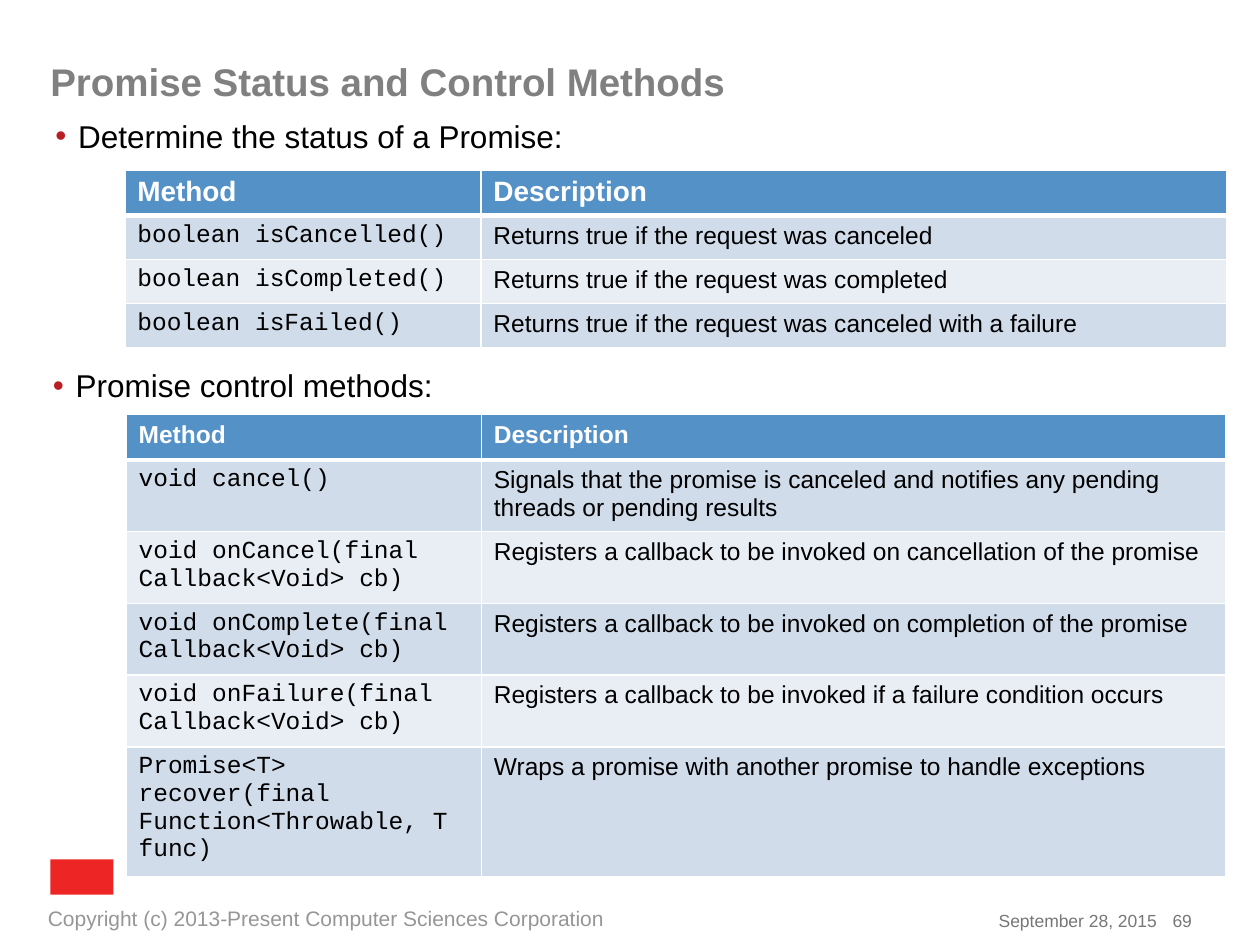
"""Build the slide on promise status and control methods."""
from dataclasses import dataclass

from lxml import etree
from pptx import Presentation
from pptx import util as u
from pptx.dml.color import RGBColor
from pptx.enum import shapes, text
from pptx.oxml import ns

TITLE = "Promise Status and Control Methods"
HEADER = ("Method", "Description")
SECTIONS = [
    dict(
        bullet="Determine the status of a Promise:",
        bullet_at=(0.44, 0.96), table_at=(0.99, 1.35), width=8.75,
        header_size=16, heights=[0.36] + [0.35] * 3,
        rows=[
            ("boolean isCancelled()", "Returns true if the request was canceled"),
            ("boolean isCompleted()", "Returns true if the request was completed"),
            ("boolean isFailed()", "Returns true if the request was canceled with a failure"),
        ],
    ),
    dict(
        bullet="Promise control methods:",
        bullet_at=(0.42, 2.94), table_at=(1, 3.29), width=8.73,
        header_size=14, heights=[0.36] + [0.57] * 4 + [1.03],
        rows=[
            ("void cancel()",
             "Signals that the promise is canceled and notifies any pending threads or pending results"),
            ("void onCancel(final Callback<Void> cb)",
             "Registers a callback to be invoked on cancellation of the promise"),
            ("void onComplete(final Callback<Void> cb)",
             "Registers a callback to be invoked on completion of the promise"),
            ("void onFailure(final Callback<Void> cb)",
             "Registers a callback to be invoked if a failure condition occurs"),
            ("Promise<T> recover(final Function<Throwable, T func)",
             "Wraps a promise with another promise to handle exceptions"),
        ],
    ),
]
METHOD_SHARE = 0.323


@dataclass(frozen=True)
class Theme:
    sans: str = "Arial"
    mono: str = "Courier New"
    title: str = "808080"
    ink: str = "000000"
    white: str = "FFFFFF"
    bullet: str = "B92025"
    header: str = "5491C7"
    bands: tuple = ("D1DCEB", "E9EEF5")
    badge: str = "EE2525"
    copyright: str = "969696"
    footer: str = "777777"
    title_size: int = 22
    bullet_size: int = 18
    cell_size: int = 14
    copyright_size: int = 12
    footer_size: int = 10


T = Theme()
FOOTERS = [
    ("Copyright (c) 2013-Present Computer Sciences Corporation", (0.38, 7.19, 4.71, 0.2),
     T.copyright_size, T.copyright, text.PP_ALIGN.LEFT, text.MSO_ANCHOR.MIDDLE),
    ("September 28, 2015", (7.18, 7.22, 2, 0.17),
     T.footer_size, T.footer, text.PP_ALIGN.RIGHT, text.MSO_ANCHOR.BOTTOM),
    ("69", (9.21, 7.22, 0.25, 0.17),
     T.footer_size, T.footer, text.PP_ALIGN.RIGHT, text.MSO_ANCHOR.BOTTOM),
]


def inches(*values):
    return [u.Inches(v) for v in values]


def add_run(p, words, size, color, font=T.sans, bold=False):
    r = p.add_run()
    r.text = words
    r.font.size, r.font.name, r.font.bold = u.Pt(size), font, bold
    r.font.color.rgb = RGBColor.from_string(color)


def frame(sp, anchor=text.MSO_ANCHOR.TOP):
    tf = sp.text_frame
    tf.word_wrap, tf.vertical_anchor = True, anchor
    tf.auto_size = text.MSO_AUTO_SIZE.NONE
    tf.margin_left = tf.margin_top = tf.margin_right = tf.margin_bottom = 0
    return tf.paragraphs[0]


def add_title(s):
    sp = s.shapes.title
    sp.left, sp.top, sp.width, sp.height = inches(0.4, 0.5, 9.2, 0.86)
    p = frame(sp)
    p.alignment, p.line_spacing = text.PP_ALIGN.LEFT, 0.9
    p.space_before = u.Pt(0)
    add_run(p, TITLE, T.title_size, T.title, bold=True)


def add_bullet(s, words, at):
    p = frame(s.shapes.add_textbox(*inches(*at, 7.18, 0.28)))
    p.line_spacing = 0.9
    indent = u.Inches(0.18)
    pPr = p._p.get_or_add_pPr()
    pPr.set("marL", str(indent))
    pPr.set("indent", str(-indent))
    color = etree.SubElement(pPr, ns.qn("a:buClr"))
    etree.SubElement(color, ns.qn("a:srgbClr"), val=T.bullet)
    etree.SubElement(pPr, ns.qn("a:buFont"), typeface=T.sans)
    etree.SubElement(pPr, ns.qn("a:buChar"), char="•")
    add_run(p, words, T.bullet_size, T.ink)


def style_cell(cell, fill, top=1, bottom=1):
    tcPr = cell._tc.get_or_add_tcPr()
    for side, width in (("L", 1), ("R", 1), ("T", top), ("B", bottom)):
        ln = etree.SubElement(tcPr, ns.qn(f"a:ln{side}"), w=str(u.Pt(width)))
        solid = etree.SubElement(ln, ns.qn("a:solidFill"))
        etree.SubElement(solid, ns.qn("a:srgbClr"), val=T.white)
    cell.fill.solid()
    cell.fill.fore_color.rgb = RGBColor.from_string(fill)


def add_method_table(s, section):
    rows, heights = [HEADER] + section["rows"], section["heights"]
    width = section["width"]
    table = s.shapes.add_table(
        len(rows), len(HEADER), *inches(*section["table_at"], width, sum(heights))).table
    for column, share in zip(table.columns, (METHOD_SHARE, 1 - METHOD_SHARE)):
        column.width = u.Inches(width * share)
    for i, (row, height) in enumerate(zip(rows, heights)):
        table.rows[i].height = u.Inches(height)
        for j, words in enumerate(row):
            cell = table.cell(i, j)
            p = cell.text_frame.paragraphs[0]
            p.alignment = text.PP_ALIGN.LEFT
            if i == 0:
                style_cell(cell, T.header, bottom=3)
                add_run(p, words, section["header_size"], T.white, bold=True)
            else:
                style_cell(cell, T.bands[(i - 1) % 2], top=3 if i == 1 else 1)
                add_run(p, words, T.cell_size, T.ink, (T.mono, T.sans)[j])


def add_footer(s):
    badge = s.shapes.add_shape(shapes.MSO_SHAPE.RECTANGLE, *inches(0.4, 6.82, 0.5, 0.28))
    badge.shadow.inherit = False
    badge.fill.solid()
    badge.fill.fore_color.rgb = RGBColor.from_string(T.badge)
    badge.line.fill.background()
    for words, box, size, color, align, anchor in FOOTERS:
        p = frame(s.shapes.add_textbox(*inches(*box)), anchor)
        p.alignment = align
        add_run(p, words, size, color)


def main():
    prs = Presentation()
    prs.slide_width, prs.slide_height = inches(10, 7.5)
    s = prs.slides.add_slide(prs.slide_layouts[5])
    add_footer(s)
    add_title(s)
    for section in SECTIONS:
        add_bullet(s, section["bullet"], section["bullet_at"])
        add_method_table(s, section)
    prs.save("out.pptx")


if __name__ == "__main__":
    main()
